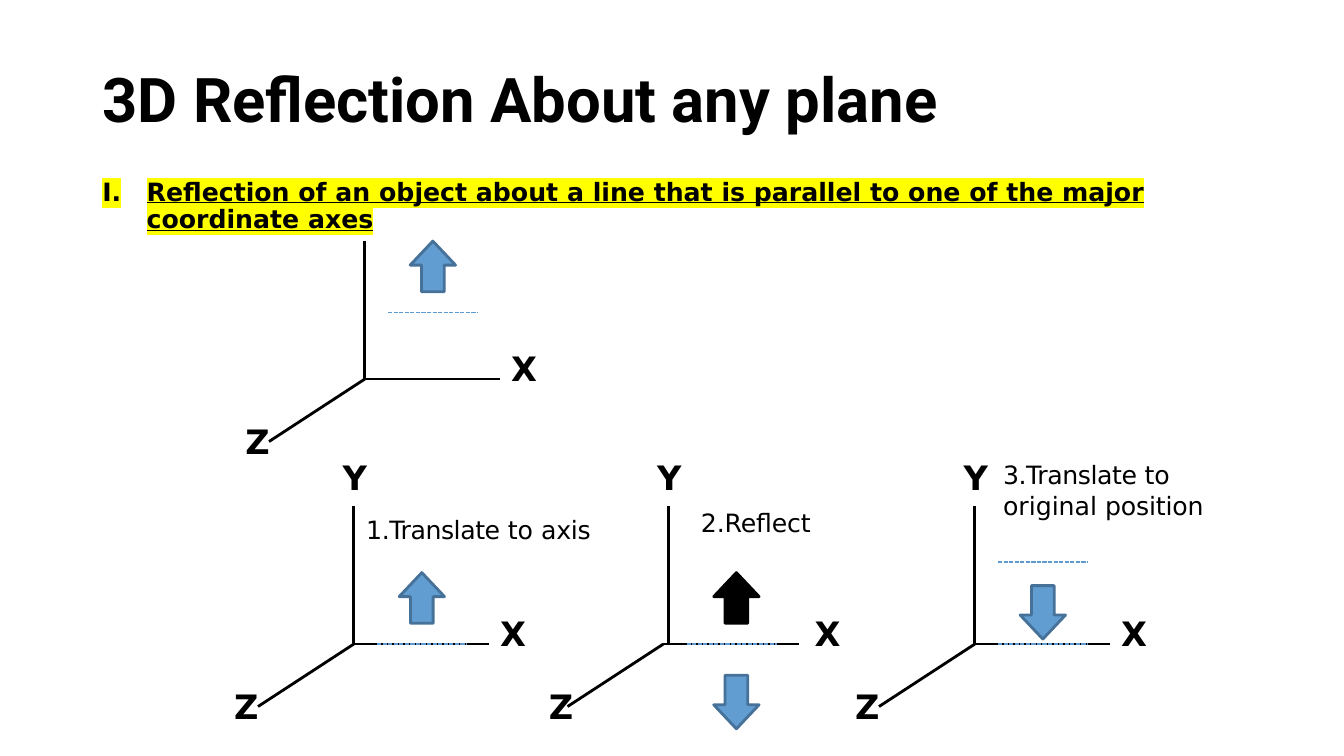
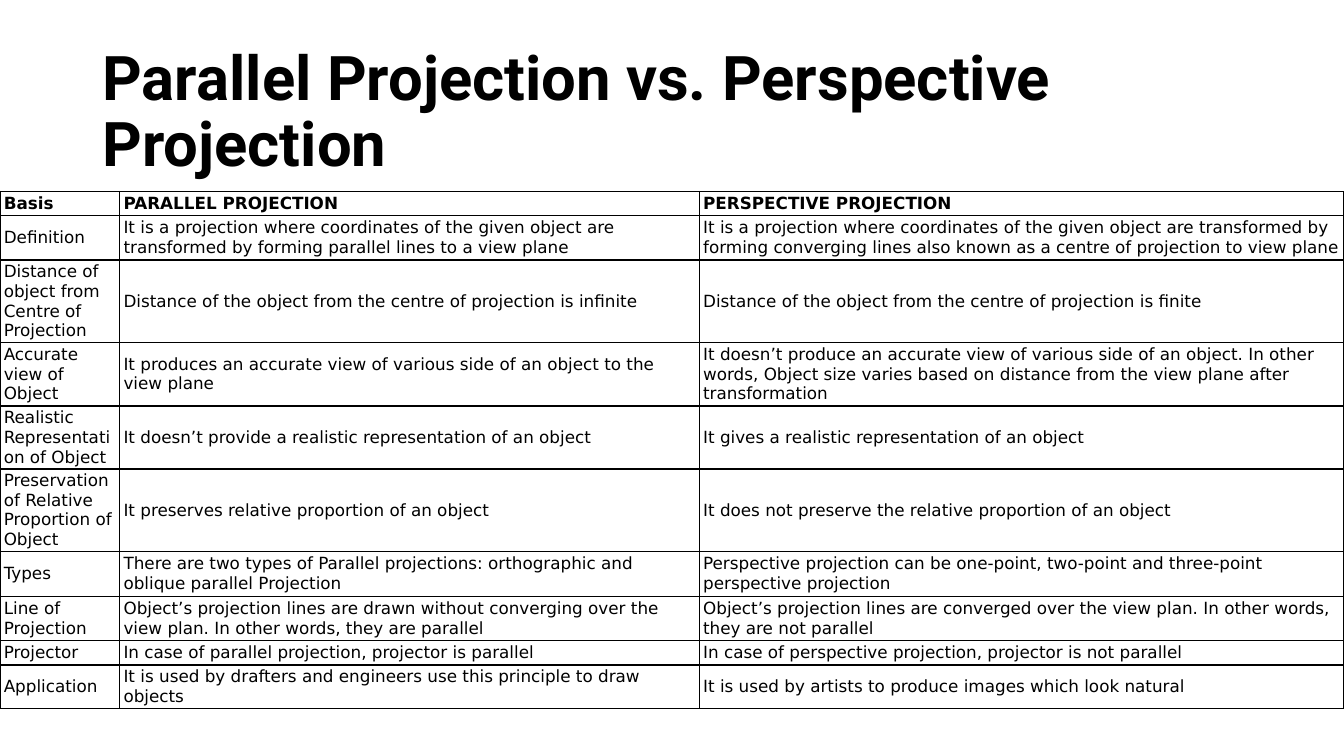
import dataclasses
import typing

import lxml.etree
import pptx
import pptx.dml.color
import pptx.enum.dml
import pptx.enum.shapes
import pptx.enum.text
import pptx.oxml.ns
import pptx.util

Pt = pptx.util.Pt
RGB = pptx.dml.color.RGBColor
qn = pptx.oxml.ns.qn
MSO_SHAPE = pptx.enum.shapes.MSO_SHAPE
ANCHOR = pptx.enum.text.MSO_ANCHOR

# Colours and shared formats
BLACK = RGB(0x00, 0x00, 0x00)
WHITE = RGB(0xFF, 0xFF, 0xFF)
DASH_BLUE = RGB(0x5D, 0x9A, 0xCF)
ARROW_BLUE = RGB(0x61, 0x9D, 0xD1)
ARROW_EDGE = RGB(0x46, 0x71, 0x99)
HIGHLIGHT = "FFFF00"

BODY_FONT = "DejaVu Sans"
TITLE = {"name": "Roboto", "size": Pt(44), "bold": True}
HEADING = {"name": BODY_FONT, "size": Pt(18), "bold": True, "underline": True}
AXIS_LABEL = {"name": BODY_FONT, "size": Pt(24), "bold": True}
CAPTION = {"name": BODY_FONT, "size": Pt(18)}
CELL = {"name": BODY_FONT, "size": Pt(12), "bold": False}
HEADER_CELL = CELL | {"bold": True}
NO_INSETS = {"margin_left": 0, "margin_top": Pt(1), "margin_right": 0, "margin_bottom": 0}
CELL_FORMAT = {"margin_left": Pt(2.7), "margin_top": Pt(0.7), "margin_right": Pt(2),
               "margin_bottom": Pt(0.7), "vertical_anchor": ANCHOR.MIDDLE}

# Axis diagram geometry, relative to the origin
UP_ARM, RIGHT_ARM = 98.6, 96.8
Z_ARM = (-68.4, 44.6)
DASH_DX, DASH_LENGTH = 16.6, 64.3
ARROW_DX, ARROW_WIDTH = 32.4, 32.4
UP_HEIGHT, DOWN_HEIGHT = 36.2, 38.2
HEAD_RATIO = 0.53
LABELS = {"X": (103.5, -23), "Z": (-86.4, 28.8), "Y": (-9, -134.8)}


class Run(typing.NamedTuple):
    text: str
    spacing: float = 0  # points between letters


@dataclasses.dataclass
class Arrow:
    dy: float
    up: bool = True
    fill: RGB = ARROW_BLUE
    edge: RGB = ARROW_EDGE


@dataclasses.dataclass
class Diagram:
    x: float
    y: float
    arrows: list[Arrow]
    dashes: tuple[float, ...] = (0,)
    labels: str = "XYZ"
    shift: float = 0  # moves the X and Z arms to the left


@dataclasses.dataclass
class Caption:
    left: float
    top: float
    width: float
    height: float
    lines: list[list[Run]]


ROW_Y = 460.1
DIAGRAMS = [
    Diagram(260.6, 270.8, [Arrow(-98.6)], dashes=(-47.5,), labels="XZ"),
    Diagram(252.7, ROW_Y, [Arrow(-51.1)]),
    Diagram(477.4, ROW_Y, [Arrow(-51.1, fill=BLACK, edge=BLACK), Arrow(22.3, up=False)], shift=3.6),
    Diagram(696.3, ROW_Y, [Arrow(-41.8, up=False)], dashes=(0, -58.6)),
]

CAPTIONS = [
    Caption(260.6, 366.5, 178, 26, [[Run("1.Translate ", -0.3), Run("to "), Run("axis", -0.2)]]),
    Caption(499.7, 361.4, 104, 26, [[Run("2.Reflect", -0.1)]]),
    Caption(715.5, 327.2, 166, 45, [[Run("3.Translate ", -0.3), Run("to", -0.2)],
                                    [Run("original"), Run(" position", -0.1)]]),
]

# Comparison table
COLUMNS = [85.6, 414, 460.4]
ROW_HEIGHTS = [17, 32, 58.7, 45.3, 45, 58.7, 32, 31.8, 17.2, 31]
ROWS = [
    ("Basis", "PARALLEL PROJECTION", "PERSPECTIVE PROJECTION"),
    ("Definition",
     "It is a projection where coordinates of the given object are transformed by forming "
     "parallel lines to a view plane",
     "It is a projection where coordinates of the given object are transformed by forming "
     "converging lines also known as a centre of projection to view plane"),
    ("Distance of object from Centre of Projection",
     "Distance of the object from the centre of projection is infinite",
     "Distance of the object from the centre of projection is finite"),
    ("Accurate view of Object",
     "It produces an accurate view of various side of an object to the view plane",
     "It doesn’t produce an accurate view of various side of an object. In other words, "
     "Object size varies based on distance from the view plane after transformation"),
    ("Realistic Representation of Object",
     "It doesn’t provide a realistic representation of an object",
     "It gives a realistic representation of an object"),
    ("Preservation of Relative Proportion of Object",
     "It preserves relative proportion of an object",
     "It does not preserve the relative proportion of an object"),
    ("Types",
     "There are two types of Parallel projections: orthographic and oblique parallel Projection",
     "Perspective projection can be one-point, two-point and three-point perspective projection"),
    ("Line of Projection",
     "Object’s projection lines are drawn without converging over the view plan. "
     "In other words, they are parallel",
     "Object’s projection lines are converged over the view plan. "
     "In other words, they are not parallel"),
    ("Projector",
     "In case of parallel projection, projector is parallel",
     "In case of perspective projection, projector is not parallel"),
    ("Application",
     "It is used by drafters and engineers use this principle to draw objects",
     "It is used by artists to produce images which look natural"),
]


def apply(target: typing.Any, values: dict) -> None:
    for name, value in values.items():
        setattr(target, name, value)


def add_run(p, run: Run, font: dict):
    r = p.add_run()
    r.text = run.text
    apply(r.font, font)
    r.font.color.rgb = BLACK
    if run.spacing:
        r._r.get_or_add_rPr().set("spc", str(round(run.spacing * 100)))
    return r


def add_box(s, left: float, top: float, width: float, height: float, frame: dict):
    tf = s.shapes.add_textbox(Pt(left), Pt(top), Pt(width), Pt(height)).text_frame
    apply(tf, {"word_wrap": True} | frame)
    return tf


def add_title(s, text: str, top: float) -> None:
    p = add_box(s, 66.2, top, 828, 104.4, {"vertical_anchor": ANCHOR.MIDDLE}).paragraphs[0]
    p.line_spacing = 0.9
    add_run(p, Run(text), TITLE)


def add_heading(s, text: str) -> None:
    p = add_box(s, 66, 125, 836, 361.4, {}).paragraphs[0]
    apply(p, {"line_spacing": 0.9, "space_before": Pt(10)})
    r = add_run(p, Run(text), HEADING)

    # Roman numeral with a hanging indent
    pPr = p._p.get_or_add_pPr()
    pPr.set("marL", str(Pt(31.7)))
    pPr.set("indent", str(-Pt(31.7)))
    lxml.etree.SubElement(pPr, qn("a:buAutoNum"), type="romanUcPeriod")

    # Highlight follows the text fill
    mark = lxml.etree.Element(qn("a:highlight"))
    lxml.etree.SubElement(mark, qn("a:srgbClr"), val=HIGHLIGHT)
    r._r.rPr.find(qn("a:solidFill")).addnext(mark)


def add_label(s, left: float, top: float, width: float, height: float,
              lines: list[list[Run]], font: dict) -> None:
    tf = add_box(s, left, top, width, height, NO_INSETS)
    for i, runs in enumerate(lines):
        p = tf.add_paragraph() if i else tf.paragraphs[0]
        p.space_before = Pt(0.1 if i else 1)
        p._p.get_or_add_pPr().set("marL", str(Pt(1)))
        for run in runs:
            add_run(p, run, font)


def add_dash(s, x: float, y: float) -> None:
    c = s.shapes.add_connector(pptx.enum.shapes.MSO_CONNECTOR.STRAIGHT,
                               Pt(x), Pt(y), Pt(x + DASH_LENGTH), Pt(y))
    c.line.color.rgb = DASH_BLUE
    apply(c.line, {"width": Pt(1), "dash_style": pptx.enum.dml.MSO_LINE.SQUARE_DOT})
    lxml.etree.SubElement(c._element.spPr, qn("a:effectLst"))


def add_axes(s, d: Diagram, corner: float) -> None:
    fb = s.shapes.build_freeform(Pt(d.x), Pt(d.y))
    fb.add_line_segments([(Pt(d.x), Pt(d.y - UP_ARM))], close=False)
    for dx, dy in ((RIGHT_ARM, 0), Z_ARM):
        fb.move_to(Pt(corner + dx), Pt(d.y + dy))
        fb.add_line_segments([(Pt(corner), Pt(d.y))], close=False)
    sp = fb.convert_to_shape()
    sp.shadow.inherit = False
    sp.fill.background()
    sp.line.color.rgb = BLACK
    sp.line.width = Pt(2)


def add_arrow(s, left: float, top: float, arrow: Arrow) -> None:
    kind, height = ((MSO_SHAPE.UP_ARROW, UP_HEIGHT) if arrow.up
                    else (MSO_SHAPE.DOWN_ARROW, DOWN_HEIGHT))
    sp = s.shapes.add_shape(kind, Pt(left), Pt(top), Pt(ARROW_WIDTH), Pt(height))
    sp.adjustments[1] = HEAD_RATIO
    sp.shadow.inherit = False
    sp.fill.solid()
    sp.fill.fore_color.rgb = arrow.fill
    sp.line.color.rgb = arrow.edge
    sp.line.width = Pt(2)


def add_diagram(s, d: Diagram) -> None:
    corner = d.x - d.shift
    add_axes(s, d, corner)
    for dy in d.dashes:
        add_dash(s, corner + DASH_DX, d.y + dy)
    for arrow in d.arrows:
        add_arrow(s, d.x + ARROW_DX, d.y + arrow.dy, arrow)
    for name in d.labels:
        dx, dy = LABELS[name]
        add_label(s, d.x + dx, d.y + dy, 18, 35, [[Run(name)]], AXIS_LABEL)


def add_borders(cell) -> None:
    tcPr = cell._tc.get_or_add_tcPr()
    for i, side in enumerate(("lnL", "lnR", "lnT", "lnB")):
        ln = lxml.etree.Element(qn(f"a:{side}"), w=str(Pt(1)))
        fill = lxml.etree.SubElement(ln, qn("a:solidFill"))
        lxml.etree.SubElement(fill, qn("a:srgbClr"), val=str(BLACK))
        tcPr.insert(i, ln)


def add_comparison(s) -> None:
    table = s.shapes.add_table(len(ROWS), len(COLUMNS), 0, Pt(136.8),
                               Pt(sum(COLUMNS)), Pt(sum(ROW_HEIGHTS))).table
    apply(table, {"first_row": False, "horz_banding": False})
    for column, width in zip(table.columns, COLUMNS):
        column.width = Pt(width)
    for i, (row, height) in enumerate(zip(table.rows, ROW_HEIGHTS)):
        row.height = Pt(height)
        for cell, text in zip(row.cells, ROWS[i]):
            apply(cell, CELL_FORMAT)
            cell.fill.solid()
            cell.fill.fore_color.rgb = WHITE
            add_borders(cell)
            add_run(cell.text_frame.paragraphs[0], Run(text), CELL if i else HEADER_CELL)


def main() -> None:
    prs = pptx.Presentation()
    apply(prs, {"slide_width": Pt(960), "slide_height": Pt(540)})
    blank = prs.slide_layouts[6]

    # Reflection in three steps
    s = prs.slides.add_slide(blank)
    add_title(s, "3D Reflection About any plane", 20.9)
    add_heading(s, "Reflection of an object about a line that is parallel to one of the "
                   "major coordinate axes")
    for d in DIAGRAMS:
        add_diagram(s, d)
    for c in CAPTIONS:
        add_label(s, c.left, c.top, c.width, c.height, c.lines, CAPTION)

    # Projection comparison
    s = prs.slides.add_slide(blank)
    add_title(s, "Parallel Projection vs. Perspective Projection", 28.8)
    add_comparison(s)

    prs.save("out.pptx")


if __name__ == "__main__":
    main()
